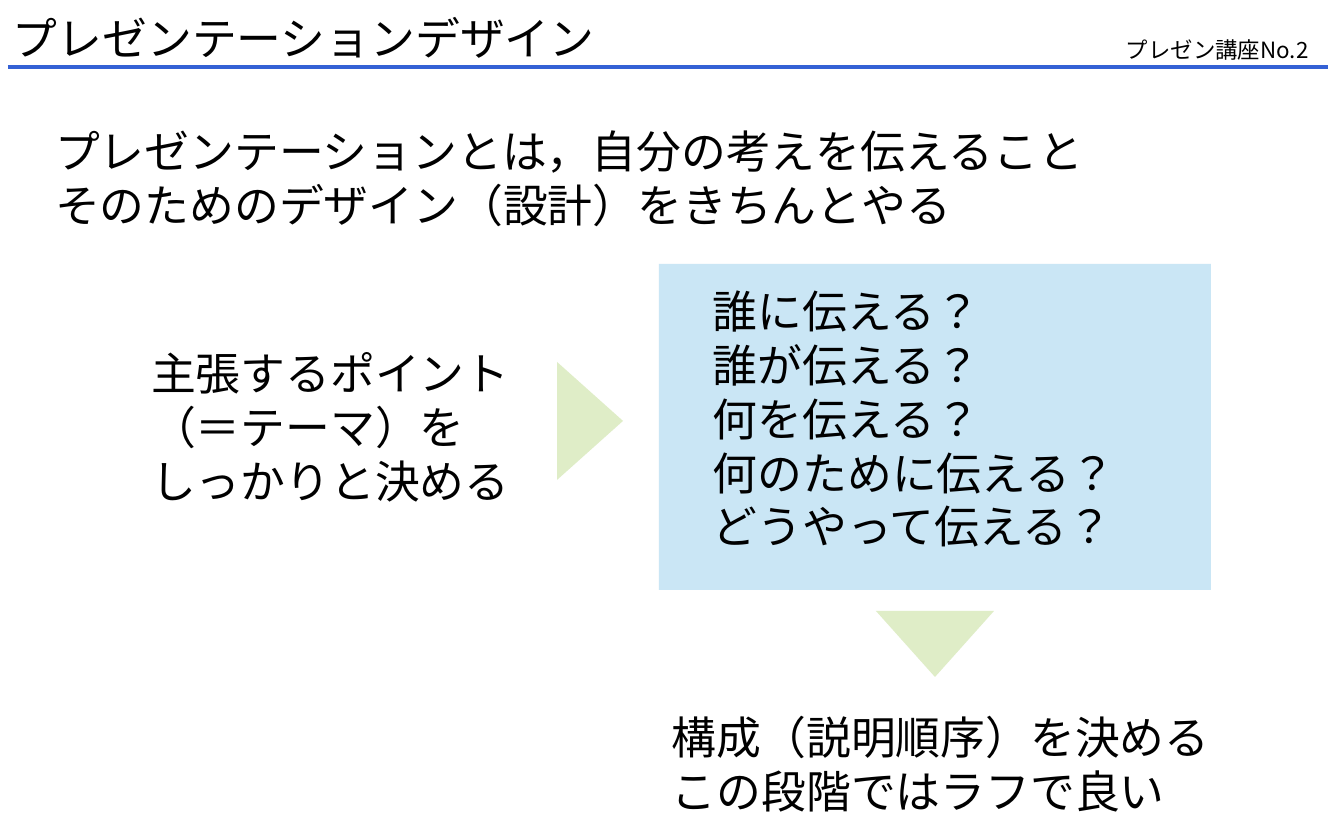
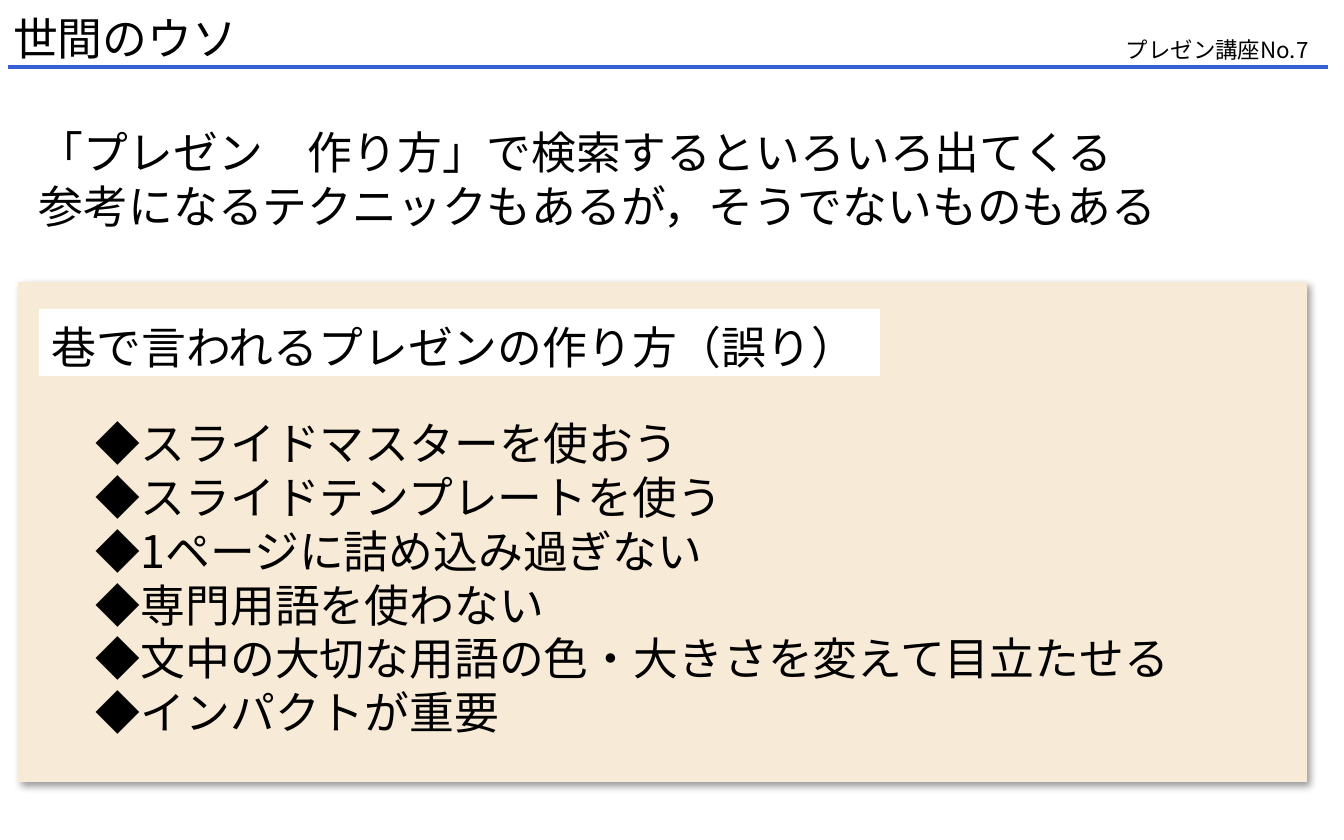
from lxml import etree
from pptx import Presentation
from pptx import util as u
from pptx.dml.color import RGBColor
from pptx.enum import lang, shapes, text
from pptx.oxml import ns

# Shared look
PIXEL = 914400 / 134.4
FONT = "Noto Sans CJK JP"
BODY, SMALL = 24, 12
INSET_X, INSET_Y = 13, 7
COLORS = {
    "text": "000000",
    "rule": "3461D5",
    "questions": "CAE6F5",
    "arrow": "DFEDC7",
    "myths": "F7EAD6",
    "label": "FFFFFF",
    "shadow": "000000",
}


def px(value):
    return u.Emu(round(value * PIXEL))


def color(name):
    return RGBColor.from_string(COLORS[name])


def write(shape, lines, size=BODY):
    """Fill a shape with one paragraph per line, at a fixed 1.2 line pitch."""
    frame = shape.text_frame
    frame.word_wrap = False
    frame.auto_size = text.MSO_AUTO_SIZE.SHAPE_TO_FIT_TEXT
    frame.vertical_anchor = text.MSO_ANCHOR.TOP
    drop = size / 6  # sets the baseline within the tight line pitch
    frame.margin_left = frame.margin_right = px(INSET_X)
    frame.margin_top, frame.margin_bottom = px(INSET_Y + drop), px(INSET_Y - drop)
    for index, line in enumerate(lines):
        paragraph = frame.add_paragraph() if index else frame.paragraphs[0]
        paragraph.alignment = text.PP_ALIGN.LEFT
        paragraph.line_spacing = u.Pt(size * 1.2)
        run = paragraph.add_run()
        run.text = line
        font = run.font
        font.name, font.size = FONT, u.Pt(size)
        font.color.rgb = color("text")
        font.language_id = lang.MSO_LANGUAGE_ID.JAPANESE
        east_asian = etree.SubElement(run._r.get_or_add_rPr(), ns.qn("a:ea"))
        east_asian.set("typeface", FONT)


def add_text(slide, box, lines, size=BODY):
    write(slide.shapes.add_textbox(*map(px, box)), lines, size)


def add_block(slide, box, fill, kind=shapes.MSO_SHAPE.RECTANGLE):
    block = slide.shapes.add_shape(kind, *map(px, box))
    block.fill.solid()
    block.fill.fore_color.rgb = color(fill)
    block.line.fill.background()
    block.shadow.inherit = False
    return block


def add_arrow(slide, box, shaft, rotation=0):
    arrow = add_block(slide, box, "arrow", shapes.MSO_SHAPE.RIGHT_ARROW)
    arrow.adjustments[0], arrow.adjustments[1] = shaft, 1
    arrow.rotation = rotation


def add_shadow(block):
    effects = block._element.spPr.find(ns.qn("a:effectLst"))
    shadow = etree.SubElement(effects, ns.qn("a:outerShdw"), blurRad=str(u.Pt(4)),
                              dist=str(u.Pt(3)), dir=str(45 * 60000),
                              algn="tl", rotWithShape="0")
    tint = etree.SubElement(shadow, ns.qn("a:srgbClr"), val=COLORS["shadow"])
    etree.SubElement(tint, ns.qn("a:alpha"), val="40000")


def add_page(deck, title, title_width, number):
    """Blank slide with title, page label and the rule below them."""
    slide = deck.slides.add_slide(deck.slide_layouts[6])
    add_text(slide, (0, 0, title_width, 67), [title])
    rule = slide.shapes.add_connector(shapes.MSO_CONNECTOR.STRAIGHT,
                                      px(8), px(67), px(1328), px(67))
    rule.line.color.rgb = color("rule")
    rule.line.width = u.Pt(2)
    etree.SubElement(rule._element.spPr, ns.qn("a:effectLst"))
    add_text(slide, (1113, 27, 215, 40), [f"プレゼン講座No.{number}"], SMALL)
    return slide


def build_design(deck):
    slide = add_page(deck, "プレゼンテーションデザイン", 616, 2)
    add_text(slide, (42, 113, 1067, 122), [
        "プレゼンテーションとは，自分の考えを伝えること",
        "そのためのデザイン（設計）をきちんとやる",
    ])
    # Theme leads to the questions
    add_text(slide, (138, 335, 388, 176), [
        "主張するポイント",
        "（＝テーマ）を",
        "しっかりと決める",
    ])
    add_arrow(slide, (557, 362, 66, 118), 0.5)
    add_block(slide, (659, 264, 552, 326), "questions")
    add_text(slide, (700, 273, 434, 285), [
        "誰に伝える？",
        "誰が伝える？",
        "何を伝える？",
        "何のために伝える？",
        "どうやって伝える？",
    ])
    # Questions lead to the structure
    add_arrow(slide, (902, 585, 66, 118), 0.425, 90)
    add_text(slide, (659, 699, 570, 122), [
        "構成（説明順序）を決める",
        "この段階ではラフで良い",
    ])


def build_myths(deck):
    slide = add_page(deck, "世間のウソ", 253, 7)
    add_text(slide, (26, 114, 1159, 122), [
        "「プレゼン　作り方」で検索するといろいろ出てくる",
        "参考になるテクニックもあるが，そうでないものもある",
    ])
    # Panel of common advice
    add_shadow(add_block(slide, (18, 282, 1289, 500), "myths"))
    label = add_block(slide, (39, 309, 841, 67), "label")
    write(label, ["巷で言われるプレゼンの作り方（誤り）"])
    add_text(slide, (83, 405, 1113, 339), [
        "◆スライドマスターを使おう",
        "◆スライドテンプレートを使う",
        "◆1ページに詰め込み過ぎない",
        "◆専門用語を使わない",
        "◆文中の大切な用語の色・大きさを変えて目立たせる",
        "◆インパクトが重要",
    ])


def main():
    deck = Presentation()
    deck.slide_width, deck.slide_height = px(1344), px(840)
    build_design(deck)
    build_myths(deck)
    deck.save("out.pptx")


main()
